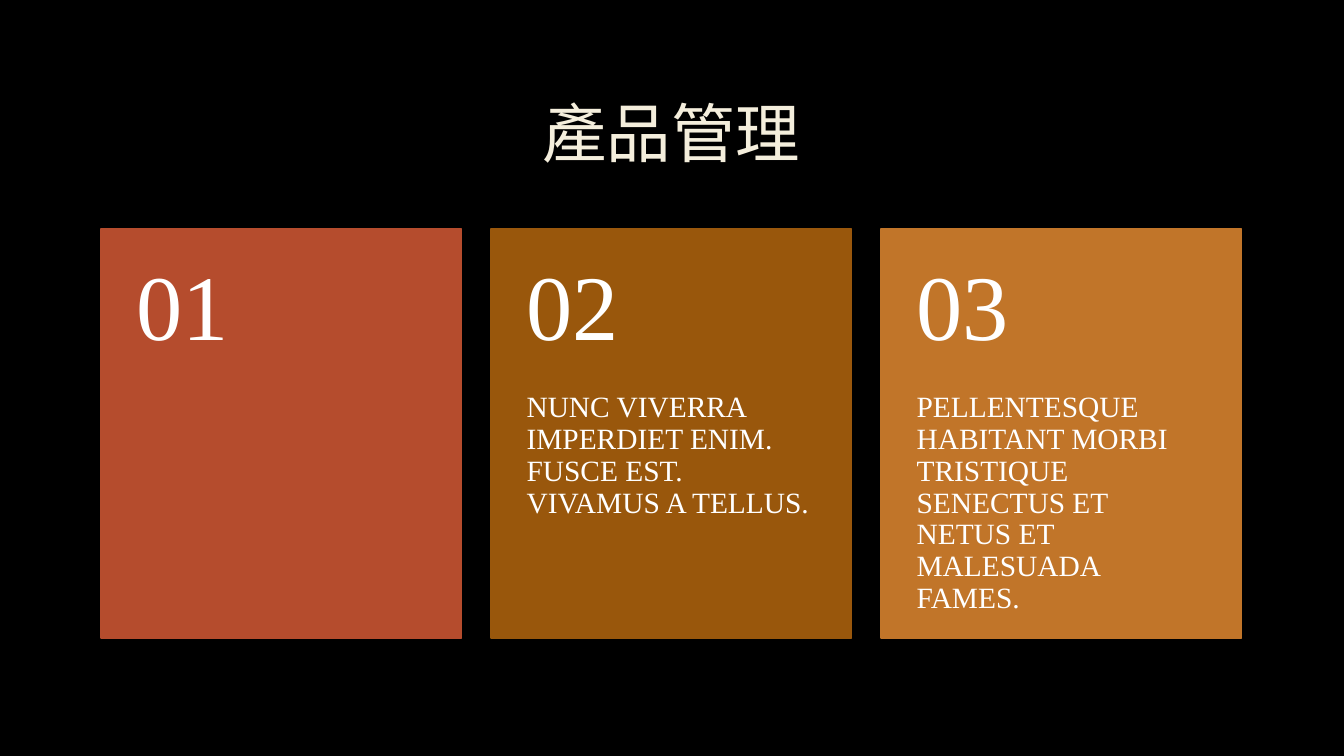
from lxml import etree
from pptx import Presentation
from pptx.dml.color import RGBColor
from pptx.enum import shapes, text
from pptx.oxml import ns
from pptx.util import Cm, Pt

BLACK = RGBColor(0x00, 0x00, 0x00)
WHITE = RGBColor(0xFF, 0xFF, 0xFF)
CREAM = RGBColor(0xF4, 0xEE, 0xDC)
RUST = RGBColor(0xB5, 0x4C, 0x2D)
BROWN = RGBColor(0x99, 0x57, 0x0C)
AMBER = RGBColor(0xC1, 0x75, 0x29)
FONT = "Times New Roman"

LEFT, TOP = 2.54, 5.77
WIDTH, HEIGHT = 9.09, 10.31
PITCH = 9.83
HEAD = 4.12
CARDS = [
    ("01", "", RUST),
    ("02", "NUNC VIVERRA IMPERDIET ENIM. FUSCE EST. VIVAMUS A TELLUS.", BROWN),
    ("03", "PELLENTESQUE HABITANT MORBI TRISTIQUE SENECTUS ET NETUS ET "
           "MALESUADA FAMES.", AMBER),
]


def add_run(frame, words, size, color):
    para = frame.paragraphs[0]
    para.line_spacing = 0.9
    run = para.add_run()
    run.text = words
    run.font.name = FONT
    run.font.size = Pt(size)
    run.font.color.rgb = color
    return run


def outline(run):
    """Give the letters a thin, nearly clear grey edge."""
    line = etree.Element(ns.qn("a:ln"), w=str(Pt(0.75)))
    fill = etree.SubElement(line, ns.qn("a:solidFill"))
    color = etree.SubElement(fill, ns.qn("a:srgbClr"), val="404040")
    etree.SubElement(color, ns.qn("a:alpha"), val="10000")
    run.font._element.insert(0, line)


def set_title(slide, words):
    title = slide.shapes.title
    title.left, title.top = Cm(LEFT), Cm(1.7)
    title.width, title.height = Cm(28.75), Cm(3.51)
    frame = title.text_frame
    frame.auto_size = text.MSO_AUTO_SIZE.NONE
    frame.vertical_anchor = text.MSO_ANCHOR.MIDDLE
    frame.paragraphs[0].alignment = text.PP_ALIGN.CENTER
    outline(add_run(frame, words, 46, CREAM))


def add_panel(group, left, color):
    panel = group.shapes.add_shape(
        shapes.MSO_SHAPE.RECTANGLE, Cm(left), Cm(TOP), Cm(WIDTH), Cm(HEIGHT))
    panel.shadow.inherit = False
    panel.fill.solid()
    panel.fill.fore_color.rgb = color
    panel.line.color.rgb = color
    panel.line.width = Pt(1.25)


def add_label(group, left, top, height, words, size, anchor, pads):
    box = group.shapes.add_textbox(Cm(left), Cm(top), Cm(WIDTH), Cm(height))
    frame = box.text_frame
    frame.word_wrap = True
    frame.vertical_anchor = anchor
    frame.margin_left = frame.margin_right = Cm(0.9)
    frame.margin_top, frame.margin_bottom = (Cm(pad) for pad in pads)
    add_run(frame, words, size, WHITE)


def add_card(group, left, number, words, color):
    add_panel(group, left, color)
    if words:
        add_label(group, left, TOP + HEAD, HEIGHT - HEAD, words, 21,
                  text.MSO_ANCHOR.TOP, (0, 0.9))
    add_label(group, left, TOP, HEAD, number, 66,
              text.MSO_ANCHOR.MIDDLE, (0.45, 0.45))


def main():
    deck = Presentation()
    deck.slide_width, deck.slide_height = Cm(33.87), Cm(19.05)
    slide = deck.slides.add_slide(deck.slide_layouts[5])
    slide.background.fill.solid()
    slide.background.fill.fore_color.rgb = BLACK
    set_title(slide, "產品管理")
    group = slide.shapes.add_group_shape()
    for index, card in enumerate(CARDS):
        add_card(group, LEFT + index * PITCH, *card)
    deck.save("out.pptx")


if __name__ == "__main__":
    main()
